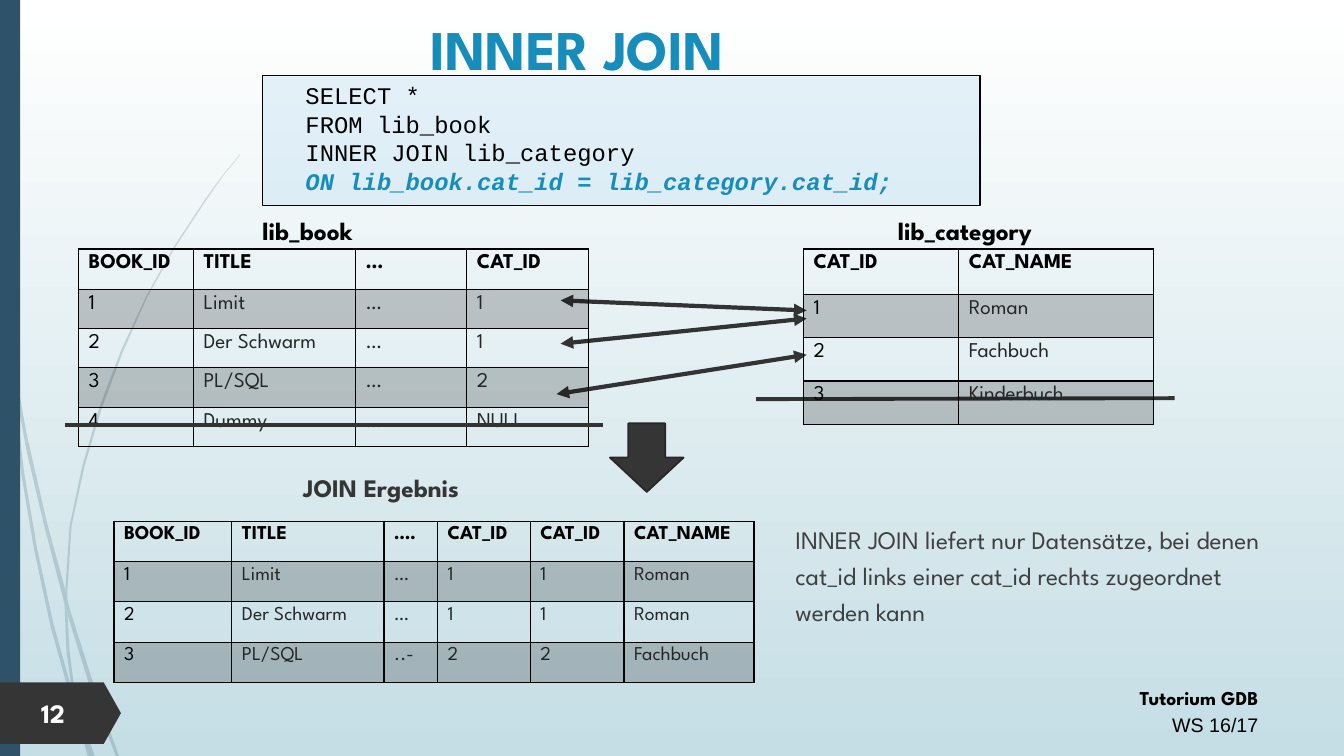
from lxml.etree import SubElement
from pptx import Presentation
from pptx.dml.color import RGBColor
from pptx.enum.shapes import MSO_CONNECTOR, MSO_SHAPE
from pptx.enum.text import MSO_ANCHOR, PP_ALIGN
from pptx.oxml.ns import qn
from pptx.util import Inches, Pt

FONT = "League Spartan"
BLACK = RGBColor(0x00, 0x00, 0x00)
WHITE = RGBColor(0xFF, 0xFF, 0xFF)
MIST = RGBColor(0xC5, 0xDE, 0xE5)
NAVY = RGBColor(0x2E, 0x53, 0x69)
BLUE = RGBColor(0x17, 0x8D, 0xBB)
SKY = RGBColor(0xA8, 0xD5, 0xF0)
COAL = RGBColor(0x35, 0x35, 0x35)
EDGE = RGBColor(0x27, 0x27, 0x27)
ARROW = RGBColor(0x33, 0x33, 0x33)
INK = RGBColor(0x26, 0x26, 0x26)
GREY = RGBColor(0x40, 0x40, 0x40)

# Outlines of the thin curved blades at the left edge
BLADES = [
    [(0.08, 3.5), (0.06, 3.22), (0, 2.82), (0, 2.99), (0.08, 3.44)],
    [(0.44, 5.22), (0.64, 5.99), (0.65, 5.86), (0.47, 5.2), (0.27, 4.33),
     (0.11, 3.45), (0.13, 3.76), (0.27, 4.5)],
    [(0.7, 6.07), (0.67, 5.96), (0.67, 6.1), (0.93, 6.94), (1.15, 7.5),
     (1.18, 7.5), (0.97, 6.92)],
    [(0.91, 7.5), (0.94, 7.5), (0.8, 7.11)],
    [(0.71, 6.83), (0.53, 6.19), (0.37, 5.45), (0.24, 4.69), (0.13, 3.76),
     (0.08, 3.5), (0.21, 4.7), (0.34, 5.46), (0.5, 6.21), (0.7, 6.93),
     (0.77, 7.14), (0.75, 7.07)],
    [(0.64, 5.99), (0.66, 6.46), (0.71, 6.83), (0.8, 7.11), (0.73, 6.77),
     (0.69, 6.46), (0.67, 6.1)],
    [(0.67, 5.84), (0.71, 5.22), (0.84, 4.62), (1.01, 4.05), (1.22, 3.49),
     (1.46, 2.95), (1.74, 2.45), (2.05, 1.98), (2.21, 1.75), (2.38, 1.54),
     (2.38, 1.53), (2.2, 1.75), (2.04, 1.97), (1.73, 2.44), (1.45, 2.94),
     (1.2, 3.48), (0.99, 4.03), (0.82, 4.61), (0.69, 5.22), (0.65, 5.84),
     (0.67, 5.96)],
    [(0.77, 7.14), (0.87, 7.5), (0.9, 7.5)],
    [(0.67, 6.08), (0.67, 5.96), (0.65, 5.86), (0.64, 5.99)],
    [(0.74, 6.92), (0.71, 6.83), (0.77, 7.14), (0.9, 7.5), (0.91, 7.5),
     (0.8, 7.11)],
]
BOOKS = [
    ["BOOK_ID", "TITLE", "…", "CAT_ID"],
    ["1", "Limit", "…", "1"],
    ["2", "Der Schwarm", "…", "1"],
    ["3", "PL/SQL", "…", "2"],
    ["4", "Dummy", "…", "NULL"],
]
GENRES = [["CAT_ID", "CAT_NAME"], ["1", "Roman"], ["2", "Fachbuch"],
          ["3", "Kinderbuch"]]
RESULT = [
    ["BOOK_ID", "TITLE", "….", "CAT_ID", "CAT_ID", "CAT_NAME"],
    ["1", "Limit", "…", "1", "1", "Roman"],
    ["2", "Der Schwarm", "…", "1", "1", "Roman"],
    ["3", "PL/SQL", "..-", "2", "2", "Fachbuch"],
]


def set_alpha(fill, percent):
    color = fill._xPr.find(qn("a:solidFill"))[0]
    SubElement(color, qn("a:alpha"), val=str(percent * 1000))


def paint(shape, color, alpha=100, line=None, width=1):
    shape.shadow.inherit = False
    shape.fill.solid()
    shape.fill.fore_color.rgb = color
    if alpha < 100:
        set_alpha(shape.fill, alpha)
    if line is None:
        shape.line.fill.background()
    else:
        shape.line.color.rgb = line
        shape.line.width = Pt(width)


def add_block(slide, kind, box, color, **style):
    shape = slide.shapes.add_shape(kind, *map(Inches, box))
    paint(shape, color, **style)
    return shape


def add_blade(slide, points):
    spots = [(Inches(x), Inches(y)) for x, y in points]
    pen = slide.shapes.build_freeform(*spots[0])
    pen.add_line_segments(spots[1:])
    paint(pen.convert_to_shape(), NAVY, alpha=20)


def add_run(para, text, size, color, bold=False, font=FONT):
    run = para.add_run()
    run.text = text
    run.font.name = font
    run.font.size = Pt(size)
    run.font.bold = bold
    run.font.color.rgb = color
    return run


def add_label(slide, box, text, size, color, bold=True, align=PP_ALIGN.CENTER):
    frame = slide.shapes.add_textbox(*map(Inches, box)).text_frame
    frame.word_wrap = True
    para = frame.paragraphs[0]
    para.alignment = align
    add_run(para, text, size, color, bold)
    return frame


def add_line(slide, start, end, width, heads=False):
    ends = map(Inches, start + end)
    line = slide.shapes.add_connector(MSO_CONNECTOR.STRAIGHT, *ends)
    line.line.color.rgb = ARROW
    line.line.width = Pt(width)
    if heads:
        for tag in ("a:headEnd", "a:tailEnd"):
            SubElement(line.line._get_or_add_ln(), qn(tag), type="triangle")
    SubElement(line._element.spPr, qn("a:effectLst"))


def set_border(cell):
    props = cell._tc.get_or_add_tcPr()
    for spot, tag in enumerate(("a:lnL", "a:lnR", "a:lnT", "a:lnB")):
        edge = SubElement(props, qn(tag), w=str(Pt(1)))
        SubElement(SubElement(edge, qn("a:solidFill")), qn("a:srgbClr"),
                   val=str(BLACK))
        props.insert(spot, edge)


def add_grid(slide, left, top, widths, heights, rows, size):
    """Table with a bold head row and every other body row shaded."""
    table = slide.shapes.add_table(
        len(rows), len(widths), Inches(left), Inches(top),
        Inches(sum(widths)), Inches(sum(heights))).table
    table.first_row = table.horz_banding = False
    for col, width in zip(table.columns, widths):
        col.width = Inches(width)
    for r, (row, height) in enumerate(zip(rows, heights)):
        table.rows[r].height = Inches(height)
        for c, text in enumerate(row):
            cell = table.cell(r, c)
            if r % 2:
                cell.fill.solid()
                cell.fill.fore_color.rgb = BLACK
                set_alpha(cell.fill, 20)
            else:
                cell.fill.background()
            set_border(cell)
            add_run(cell.text_frame.paragraphs[0], text, size,
                    INK if r and c else BLACK, bold=r == 0)


def add_frame(slide):
    fill = slide.background.fill
    fill.gradient()
    fill.gradient_angle = 270
    for stop, color in zip(fill.gradient_stops, (WHITE, MIST)):
        stop.color.rgb = color
    for blade in BLADES:
        add_blade(slide, blade)
    add_block(slide, MSO_SHAPE.RECTANGLE, (0, 0, 0.2, 7.5), NAVY)
    foot = add_label(slide, (7.38, 6.72, 5.2, 0.64), "Tutorium GDB", 14, BLACK,
                     align=PP_ALIGN.RIGHT)
    term = foot.add_paragraph()
    term.alignment = PP_ALIGN.RIGHT
    add_run(term, "WS 16/17", 14, BLACK, font="Arial")
    for para in foot.paragraphs:
        para.line_spacing = 1.14
    tag = add_block(slide, MSO_SHAPE.PENTAGON, (0, 6.77, 1.2, 0.61), COAL)
    tag.adjustments[0] = 0.28
    add_label(slide, (0.31, 6.86, 0.7, 0.42), "12", 19, WHITE,
              align=PP_ALIGN.LEFT)


def add_query(slide):
    box = add_block(slide, MSO_SHAPE.RECTANGLE, (2.6, 0.75, 7.12, 1.29), SKY,
                    alpha=27, line=BLACK, width=0.75)
    frame = box.text_frame
    frame.vertical_anchor = MSO_ANCHOR.MIDDLE
    frame.margin_left, frame.margin_top = Inches(0.43), 0
    first, second = frame.paragraphs[0], frame.add_paragraph()
    for para, head, tail in (
            (first, "SELECT *", "FROM lib_book"),
            (second, "INNER JOIN lib_category ",
             "ON lib_book.cat_id = lib_category.cat_id;")):
        para.alignment = PP_ALIGN.LEFT
        match = para is second
        add_run(para, head, 17, BLACK, font="Courier New")
        para.add_line_break()
        run = add_run(para, tail, 17, BLUE if match else BLACK, match,
                      "Courier New")
        run.font.italic = match


def main():
    deck = Presentation()
    deck.slide_width, deck.slide_height = Inches(13.33), Inches(7.5)
    slide = deck.slides.add_slide(deck.slide_layouts[6])
    add_frame(slide)
    title = add_label(slide, (1.24, 0.07, 8.97, 0.81), "INNER JOIN", 40, BLUE)
    title.vertical_anchor = MSO_ANCHOR.MIDDLE
    note = add_label(
        slide, (7.79, 5.09, 5.06, 1.41),
        "INNER JOIN liefert nur Datensätze, bei denen cat_id links einer "
        "cat_id rechts zugeordnet werden kann",
        18, GREY, bold=False, align=PP_ALIGN.LEFT)
    note.paragraphs[0].line_spacing = 1.2
    note.paragraphs[0].space_before = Pt(10)
    add_query(slide)
    for start, end in (((5.56, 2.98), (8, 3.08)), ((5.56, 3.41), (8, 3.16)),
                       ((5.52, 3.91), (8, 3.52))):
        add_line(slide, start, end, 3, heads=True)
    add_line(slide, (7.5, 3.96), (11.65, 3.95), 2.75)
    add_grid(slide, 1.13, 5.17, [1.17, 1.51, 0.53, 0.92, 0.93, 1.29],
             [0.4] * 4, RESULT, 14)
    add_label(slide, (2.37, 4.64, 2.82, 0.4), "JOIN Ergebnis", 18, COAL)
    add_block(slide, MSO_SHAPE.DOWN_ARROW, (6.05, 4.2, 0.73, 0.68), COAL,
              line=EDGE, width=1.25)
    add_grid(slide, 0.78, 2.47, [1.14, 1.61, 1.1, 1.21],
             [0.4] + [0.39] * 4, BOOKS, 15)
    add_grid(slide, 7.97, 2.47, [1.54, 1.93], [0.45] + [0.43] * 3, GENRES, 15)
    add_line(slide, (0.64, 4.22), (5.98, 4.22), 2.75)
    for left, name in ((1.64, "lib_book"), (8.16, "lib_category")):
        add_label(slide, (left, 2.09, 2.82, 0.4), name, 18, BLACK)
    deck.save("out.pptx")


if __name__ == "__main__":
    main()
